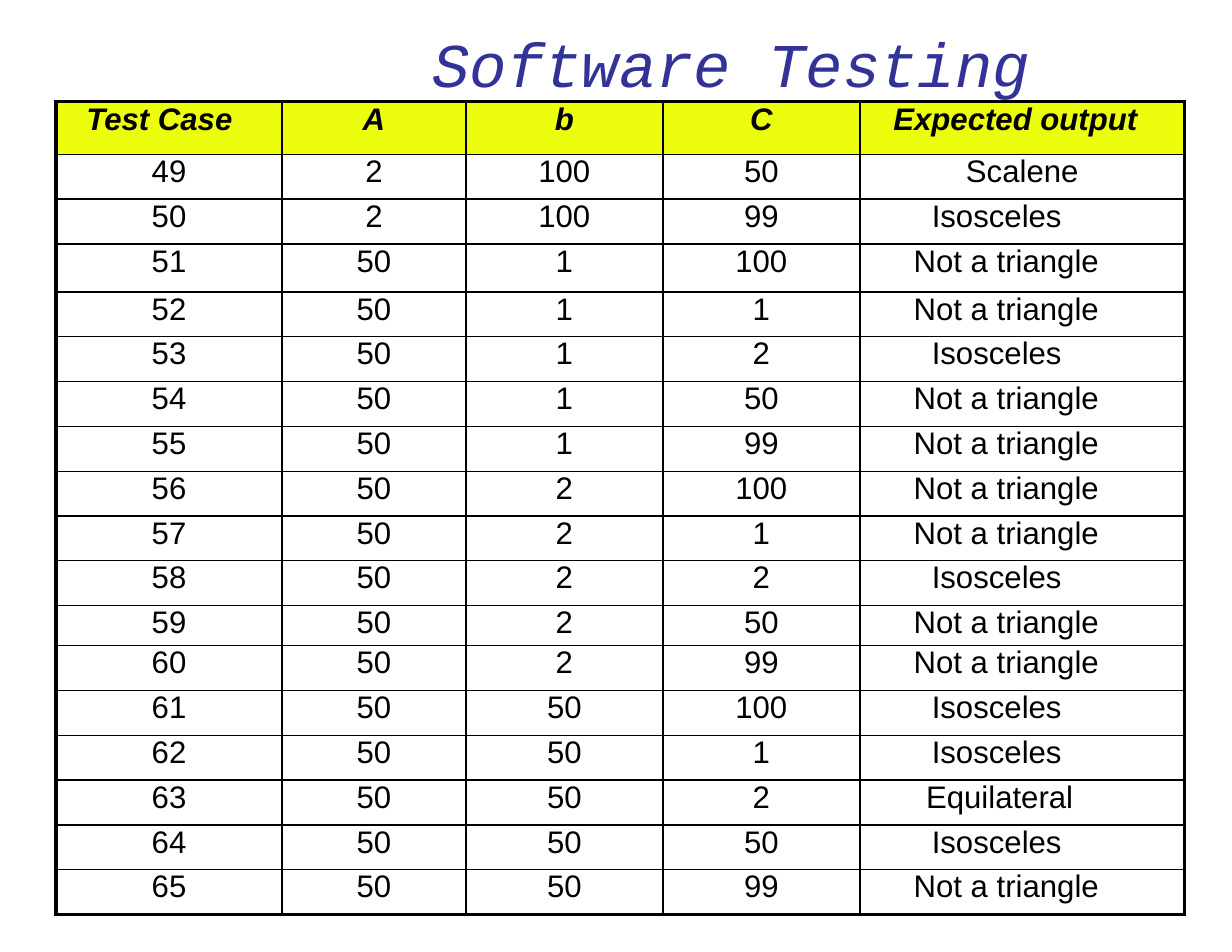
from pptx import Presentation
from pptx.dml.color import RGBColor
from pptx.enum.text import MSO_ANCHOR, MSO_AUTO_SIZE, PP_ALIGN
from pptx.oxml.ns import qn
from pptx.util import Cm, Pt
from lxml.etree import SubElement

BLACK = RGBColor(0x00, 0x00, 0x00)
INDIGO = RGBColor(0x32, 0x32, 0x99)
YELLOW = RGBColor(0xEC, 0xFD, 0x0E)

THIN, THICK = Pt(1), Pt(2.25)

HEADERS = ["Test Case", "A", "b", "C", "Expected output"]
FIRST_CASE = 49
CASES = [
    (2, 100, 50, "Scalene"),
    (2, 100, 99, "Isosceles"),
    (50, 1, 100, "Not a triangle"),
    (50, 1, 1, "Not a triangle"),
    (50, 1, 2, "Isosceles"),
    (50, 1, 50, "Not a triangle"),
    (50, 1, 99, "Not a triangle"),
    (50, 2, 100, "Not a triangle"),
    (50, 2, 1, "Not a triangle"),
    (50, 2, 2, "Isosceles"),
    (50, 2, 50, "Not a triangle"),
    (50, 2, 99, "Not a triangle"),
    (50, 50, 100, "Isosceles"),
    (50, 50, 1, "Isosceles"),
    (50, 50, 2, "Equilateral"),
    (50, 50, 50, "Isosceles"),
    (50, 50, 99, "Not a triangle"),
]

# Texts set from the left with an indent; all others are centred
INDENTS = {
    "Test Case": Cm(0.69),
    "Expected output": Cm(0.76),
    "Isosceles": Cm(1.63),
    "Not a triangle": Cm(1.22),
    "Equilateral": Cm(1.5),
}
COL_WIDTHS = [5.13, 4.17, 4.47, 4.47, 7.37]
# Heights by row number; the other rows share what is left
ODD_HEIGHTS = {0: 1.19, 3: 1.09, 11: 0.91}


def indent(p, left):
    p.alignment = PP_ALIGN.LEFT
    pPr = p._p.get_or_add_pPr()
    pPr.set("marL", str(int(left)))
    pPr.set("indent", "0")


def set_borders(cell, widths):
    """Draw black cell borders; widths run left, right, top, bottom."""
    tcPr = cell._tc.get_or_add_tcPr()
    for side, width in zip("LRTB", widths):
        ln = SubElement(tcPr, qn(f"a:ln{side}"), w=str(int(width)))
        fill = SubElement(ln, qn("a:solidFill"))
        SubElement(fill, qn("a:srgbClr"), val=str(BLACK))


def fill_cell(cell, text, is_header):
    cell.margin_left = cell.margin_right = 0
    cell.margin_top = cell.margin_bottom = 0
    if is_header:
        cell.fill.solid()
        cell.fill.fore_color.rgb = YELLOW
    else:
        cell.fill.background()
    p = cell.text_frame.paragraphs[0]
    p.text = text
    if text in INDENTS:
        indent(p, INDENTS[text])
    else:
        p.alignment = PP_ALIGN.CENTER
    p.font.name = "Arial"
    p.font.size = Pt(20)
    p.font.bold = p.font.italic = is_header
    p.font.color.rgb = BLACK


def add_title(s, left, top, width, height):
    title = s.shapes.title
    title.left, title.top, title.width, title.height = left, top, width, height
    tf = title.text_frame
    tf.auto_size = MSO_AUTO_SIZE.NONE
    tf.vertical_anchor = MSO_ANCHOR.TOP
    tf.margin_left = tf.margin_right = tf.margin_bottom = 0
    tf.margin_top = Cm(0.57)
    p = tf.paragraphs[0]
    p.text = "Software Testing"
    indent(p, Cm(7.37))
    p.font.name = "Courier New"
    p.font.size = Pt(40)
    p.font.italic = True
    p.font.color.rgb = INDIGO


def add_case_table(s, left, top, width, height):
    rows = [HEADERS] + [(n, *case) for n, case in enumerate(CASES, FIRST_CASE)]
    odd_total = Cm(sum(ODD_HEIGHTS.values()))
    row_height = (height - odd_total) // (len(rows) - len(ODD_HEIGHTS))
    table = s.shapes.add_table(
        len(rows), len(HEADERS), left, top, width, height
    ).table
    table.horz_banding = table.first_row = False
    for column, share in zip(table.columns, COL_WIDTHS):
        column.width = int(width * share / sum(COL_WIDTHS))
    last_row, last_col = len(rows) - 1, len(HEADERS) - 1
    for i, values in enumerate(rows):
        table.rows[i].height = Cm(ODD_HEIGHTS[i]) if i in ODD_HEIGHTS else row_height
        for j, value in enumerate(values):
            cell = table.cell(i, j)
            on_edge = (j == 0, j == last_col, i == 0, i == last_row)
            set_borders(cell, [THICK if edge else THIN for edge in on_edge])
            fill_cell(cell, str(value), i == 0)


def main():
    prs = Presentation()
    prs.slide_width, prs.slide_height = Cm(27.94), Cm(21.59)
    s = prs.slides.add_slide(prs.slide_layouts[5])
    add_title(s, Cm(2.44), Cm(0), Cm(23.27), Cm(2.31))
    add_case_table(s, Cm(1.27), Cm(2.31), Cm(25.6), Cm(18.44))
    prs.save("out.pptx")


if __name__ == "__main__":
    main()
